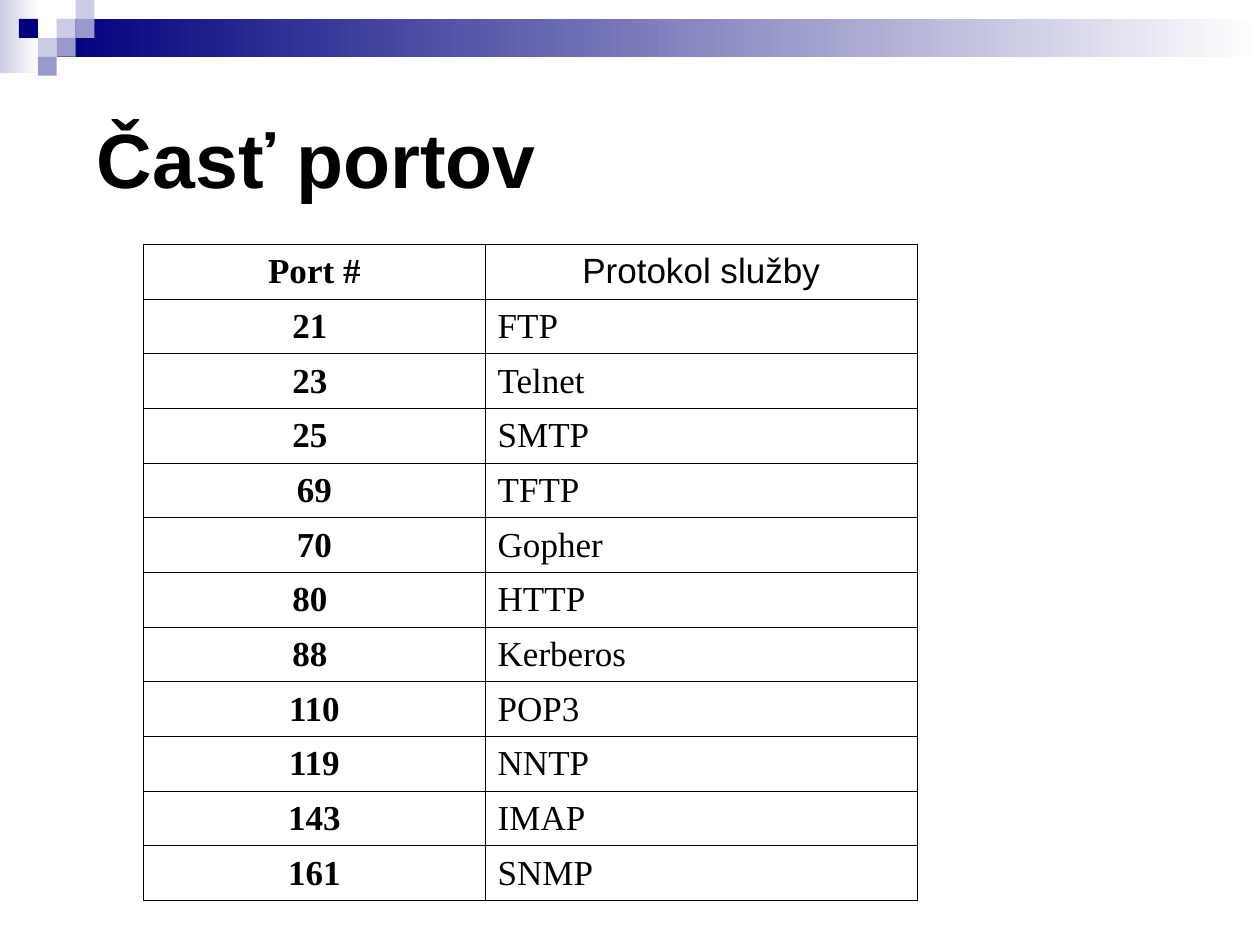
import pptx
import pptx.util
import pptx.dml.color
import pptx.enum.shapes
import pptx.enum.text
import pptx.oxml
import pptx.oxml.ns

Inches = pptx.util.Inches
Pt = pptx.util.Pt
Align = pptx.enum.text.PP_ALIGN
Anchor = pptx.enum.text.MSO_ANCHOR

NAVY, LILAC, VIOLET = "00007D", "CCCCE6", "9999CC"
BLACK, WHITE = "000000", "FFFFFF"
SANS, SERIF = "Arial", "Times New Roman"

HEADINGS = ("Port #", "Protokol služby")
PORTS = [
    ("21 ", "FTP"), ("23 ", "Telnet"), ("25 ", "SMTP"), ("69", "TFTP"),
    ("70", "Gopher"), ("80 ", "HTTP"), ("88 ", "Kerberos"), ("110", "POP3"),
    ("119", "NNTP"), ("143", "IMAP"), ("161", "SNMP"),
]


def color(hex_value):
    return pptx.dml.color.RGBColor.from_string(hex_value)


def add_run(para, text, size, font, bold):
    span = para.add_run()
    span.text = text
    span.font.size = Pt(size)
    span.font.name = font
    span.font.bold = bold
    span.font.color.rgb = color(BLACK)


def add_rectangle(page, left, top, width, height, *colors):
    """Fill with one colour, or fade from the first to the second, left to right."""
    box = page.shapes.add_shape(
        pptx.enum.shapes.MSO_SHAPE.RECTANGLE,
        Inches(left), Inches(top), Inches(width), Inches(height))
    box.shadow.inherit = False
    box.line.fill.background()
    if len(colors) == 1:
        box.fill.solid()
        box.fill.fore_color.rgb = color(colors[0])
    else:
        box.fill.gradient()
        box.fill.gradient_angle = 0
        for stop, hex_value in zip(box.fill.gradient_stops, colors):
            stop.color.rgb = color(hex_value)


def add_banner(page, left, top, width, side):
    """Two fading bars and a checker pattern of squares with the given side."""
    bar_left = left + 3 * side
    add_rectangle(page, left, top, 0.31, 0.58, LILAC, WHITE)
    add_rectangle(page, bar_left, top + side, width - 3 * side, 2 * side, NAVY, WHITE)
    squares = [
        (3, 1, LILAC), (4, 0, LILAC), (4, 1, VIOLET), (2, 2, LILAC),
        (1, 1, NAVY), (3, 2, VIOLET), (2, 3, VIOLET),
    ]
    for column, row, hex_value in squares:
        add_rectangle(page, left + column * side, top + row * side, side, side, hex_value)


def add_title(page, left, top, width, height, text):
    box = page.shapes.add_textbox(Inches(left), Inches(top), Inches(width), Inches(height))
    frame = box.text_frame
    frame.word_wrap = True
    frame.vertical_anchor = Anchor.MIDDLE
    frame.margin_left = Inches(0.27)
    add_run(frame.paragraphs[0], text, 44, SANS, True)


def set_borders(cell, hex_value, points):
    properties = cell._tc.get_or_add_tcPr()
    for index, side in enumerate("LRTB"):
        line = pptx.oxml.parse_xml(
            f'<a:ln{side} {pptx.oxml.ns.nsdecls("a")} w="{Pt(points)}"><a:solidFill>'
            f'<a:srgbClr val="{hex_value}"/></a:solidFill></a:ln{side}>')
        properties.insert(index, line)


def add_port_table(page, left, top, column_widths, height):
    rows = [HEADINGS] + PORTS
    frame = page.shapes.add_table(
        len(rows), len(HEADINGS), Inches(left), Inches(top),
        Inches(sum(column_widths)), Inches(height))
    table = frame.table
    table.first_row = False
    table.horz_banding = False
    for column, width in zip(table.columns, column_widths):
        column.width = Inches(width)
    for row_index, texts in enumerate(rows):
        for column_index, text in enumerate(texts):
            cell = table.cell(row_index, column_index)
            cell.fill.background()
            set_borders(cell, BLACK, 0.45)
            cell.vertical_anchor = Anchor.MIDDLE
            is_port = column_index == 0
            is_heading = row_index == 0
            para = cell.text_frame.paragraphs[0]
            para.alignment = Align.CENTER if is_port or is_heading else Align.JUSTIFY
            font = SANS if is_heading and not is_port else SERIF
            add_run(para, text, 20, font, is_port)


def main():
    deck = pptx.Presentation()
    deck.slide_width = Inches(10)
    deck.slide_height = Inches(7.5)
    page = deck.slides.add_slide(deck.slide_layouts[6])
    add_banner(page, 0, 0, 10, 0.15)
    add_title(page, 0.5, 0.5, 9, 1.5, "Časť portov")
    add_port_table(page, 1.14, 1.94, (2.71, 3.43), 5.2)
    deck.save("out.pptx")


if __name__ == "__main__":
    main()
